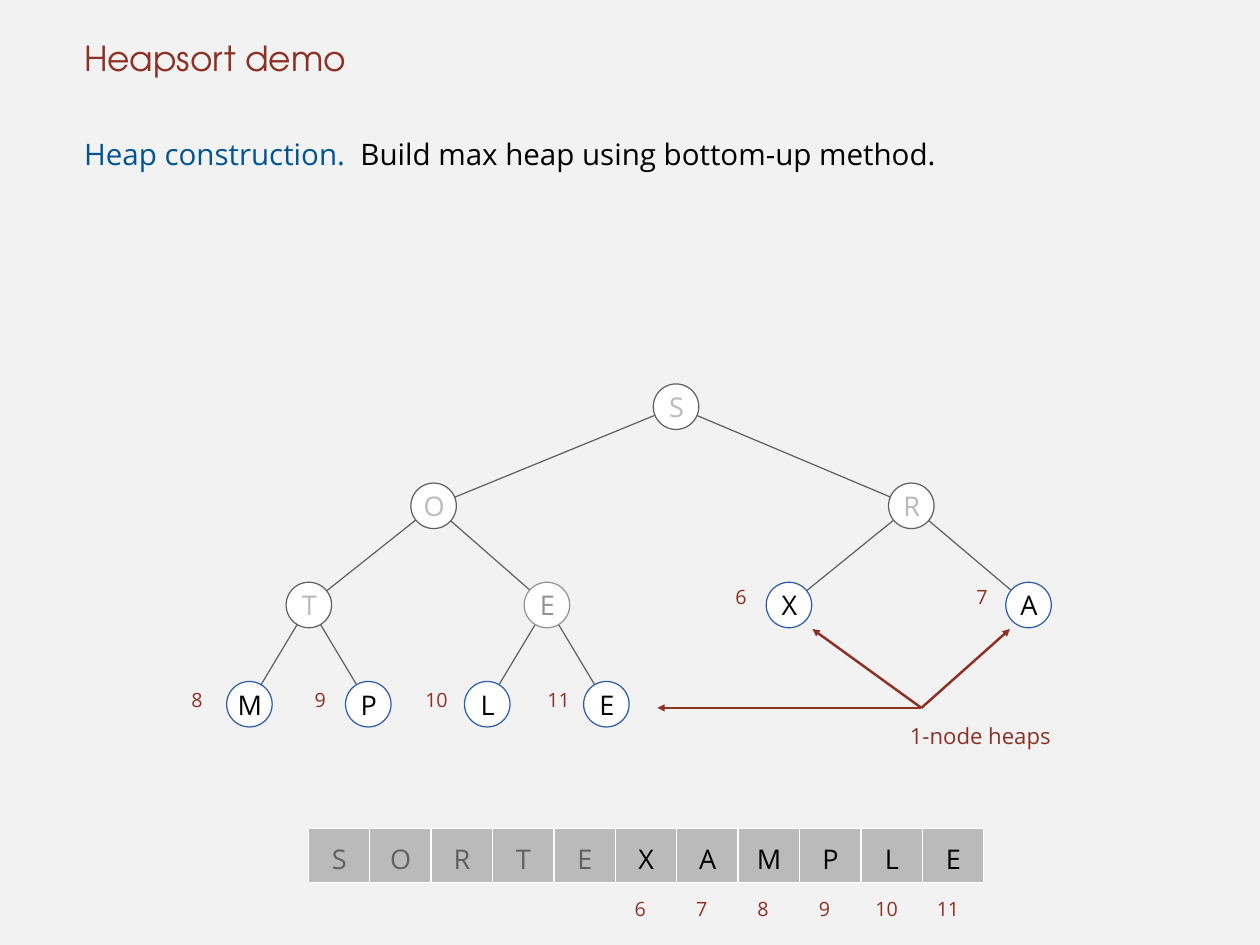
from dataclasses import dataclass

from lxml.etree import SubElement
from pptx import Presentation
from pptx.dml.color import RGBColor
from pptx.enum.shapes import MSO_CONNECTOR as Connector, MSO_SHAPE as Preset
from pptx.enum.text import MSO_ANCHOR as Anchor, MSO_AUTO_SIZE as AutoSize, PP_ALIGN as Align
from pptx.oxml.ns import qn
from pptx.util import Pt

RED, BLUE, RIM_BLUE = "8D3124", "005493", "2A5CAA"
BLACK, WHITE, PALE = "000000", "FFFFFF", "F2F2F2"
DARK, MID, LIGHT = "606060", "929292", "BABABA"
SANS, DISPLAY = "Open Sans", "TeX Gyre Adventor"

Point = tuple[float, float]

FRAME = dict(margin_left=0, margin_top=0, margin_right=0, margin_bottom=0,
             word_wrap=True, auto_size=AutoSize.NONE)


@dataclass
class Node:
    key: str
    x: float
    y: float
    ink: str = BLACK
    rim: str = RIM_BLUE
    label: Point | None = None


@dataclass
class Style:
    size: float
    color: str
    font: str = SANS
    align: Align = Align.LEFT
    anchor: Anchor = Anchor.TOP
    spacing: object = 1.0
    indent: float = 4.3


DIAMETER = 37
LEVELS = [330.5 + 80.6 * depth for depth in range(4)]
LABEL_TOPS = (475.2, 558.7)

# Heap in level order: the children of node i are 2i and 2i + 1
HEAP = [
    Node("S", 549.4, LEVELS[0], LIGHT, DARK),
    Node("O", 352.4, LEVELS[1], LIGHT, DARK),
    Node("R", 740.6, LEVELS[1], LIGHT, DARK),
    Node("T", 251, LEVELS[2], LIGHT, DARK),
    Node("E", 444.5, LEVELS[2], MID, MID),
    Node("X", 641.2, LEVELS[2], label=(593.3, LABEL_TOPS[0])),
    Node("A", 835.9, LEVELS[2], label=(789.1, LABEL_TOPS[0])),
    Node("M", 202.7, LEVELS[3], label=(151.2, LABEL_TOPS[1])),
    Node("P", 299.3, LEVELS[3], label=(251.3, LABEL_TOPS[1])),
    Node("L", 396, LEVELS[3], label=(341.3, LABEL_TOPS[1])),
    Node("E", 492.8, LEVELS[3], label=(440.6, LABEL_TOPS[1])),
]

CELL_LEFT, CELL_TOP, CELL_STEP, CELL_WIDTH, CELL_HEIGHT = 250.5, 673.2, 49.9, 49.7, 44


def rgb(hex_color: str) -> RGBColor:
    return RGBColor.from_string(hex_color)


def assign(target, values: dict) -> None:
    for name, value in values.items():
        setattr(target, name, value)


def write(shape, style: Style, *parts: tuple[str, str]) -> None:
    """Write one paragraph; each part is its text and its colour."""
    frame = shape.text_frame
    assign(frame, FRAME | dict(vertical_anchor=style.anchor))
    paragraph = frame.paragraphs[0]
    assign(paragraph, dict(alignment=style.align, line_spacing=style.spacing,
                           space_before=Pt(0)))
    properties = paragraph._p.get_or_add_pPr()
    properties.set("marL", str(Pt(style.indent)))
    properties.set("indent", "0")
    SubElement(properties, qn("a:buNone"))
    for text, color in parts:
        run = paragraph.add_run()
        run.text = text
        assign(run.font, dict(name=style.font, size=Pt(style.size), bold=False))
        run.font.color.rgb = rgb(color)


def place(shape, left: float, top: float, width: float, height: float) -> None:
    assign(shape, dict(left=Pt(left), top=Pt(top), width=Pt(width), height=Pt(height)))


def add_text(shapes, at: Point, width: float, text: str, style: Style) -> None:
    box = shapes.add_textbox(Pt(at[0]), Pt(at[1]), Pt(width), Pt(26))
    write(box, style, (text, style.color))


def add_index(shapes, at: Point, number: int, spacing: float = 1.0) -> None:
    add_text(shapes, at, 24 if number < 10 else 34, str(number),
             Style(16, RED, spacing=spacing))


def add_lettered(shapes, preset: Preset, box: tuple[float, float, float, float],
                 fill: str, rim: str, rim_width: float, key: str, style: Style) -> None:
    shape = shapes.add_shape(preset, *map(Pt, box))
    shape.shadow.inherit = False
    shape.fill.solid()
    shape.fill.fore_color.rgb = rgb(fill)
    shape.line.color.rgb = rgb(rim)
    shape.line.width = Pt(rim_width)
    write(shape, style, (key, style.color))


def add_line(shapes, start: Point, end: Point, color: str, width: float,
             arrow: bool = False) -> None:
    line = shapes.add_connector(Connector.STRAIGHT, *map(Pt, (*start, *end)))
    line.line.color.rgb = rgb(color)
    line.line.width = Pt(width)
    if arrow:
        SubElement(line.line._get_or_add_ln(), qn("a:headEnd"), type="triangle")
    SubElement(line._element.spPr, qn("a:effectLst"))


def main() -> None:
    deck = Presentation()
    assign(deck, dict(slide_width=Pt(1024), slide_height=Pt(768)))
    slide = deck.slides.add_slide(deck.slide_layouts[1])
    slide.background.fill.solid()
    slide.background.fill.fore_color.rgb = rgb(PALE)
    shapes = slide.shapes

    # Heading and statement
    heading, statement = shapes.title, slide.placeholders[1]
    place(heading, 64, 0, 896, 64)
    write(heading, Style(28, RED, DISPLAY, anchor=Anchor.BOTTOM), ("Heapsort demo", RED))
    place(statement, 64, 100, 896, 640)
    write(statement, Style(24, BLACK, spacing=Pt(39)),
          ("Heap construction.  ", BLUE),
          ("Build max heap using bottom-up method.", BLACK))

    # Tree edges, beneath the nodes
    for position, child in enumerate(HEAP[1:], start=2):
        parent = HEAP[position // 2 - 1]
        add_line(shapes, (parent.x, parent.y), (child.x, child.y), DARK, 1)

    # Array cells
    cells = shapes.add_group_shape().shapes
    for position, node in enumerate(HEAP):
        ink = BLACK if node.label else DARK
        add_lettered(cells, Preset.RECTANGLE,
                     (CELL_LEFT + position * CELL_STEP, CELL_TOP, CELL_WIDTH, CELL_HEIGHT),
                     LIGHT, WHITE, 0.5, node.key,
                     Style(22, ink, align=Align.CENTER, anchor=Anchor.MIDDLE,
                           spacing=1.2, indent=0.7))

    # Tree nodes, with indices beside the leaves and under their cells
    for number, node in enumerate(HEAP, start=1):
        add_lettered(shapes, Preset.OVAL,
                     (node.x - DIAMETER / 2, node.y - DIAMETER / 2, DIAMETER, DIAMETER),
                     WHITE, node.rim, 1, node.key,
                     Style(22, node.ink, align=Align.CENTER, anchor=Anchor.MIDDLE,
                           indent=0.7))
        if node.label:
            add_index(shapes, node.label, number)
            inset = 11.5 if number < 10 else 7.5
            add_index(shapes, (CELL_LEFT + (number - 1) * CELL_STEP + inset, 719.3),
                      number, spacing=1.5)

    # Callout for the one-node heaps
    add_text(shapes, (735.1, 586.8), 132, "1-node heaps", Style(18, RED))
    callout_corner = (748.8, 575.3)
    for tip in ((820.8, 511.2), (660.2, 511.2), (534.2, 575.3)):
        add_line(shapes, tip, callout_corner, RED, 2, arrow=True)

    deck.save("out.pptx")


if __name__ == "__main__":
    main()
